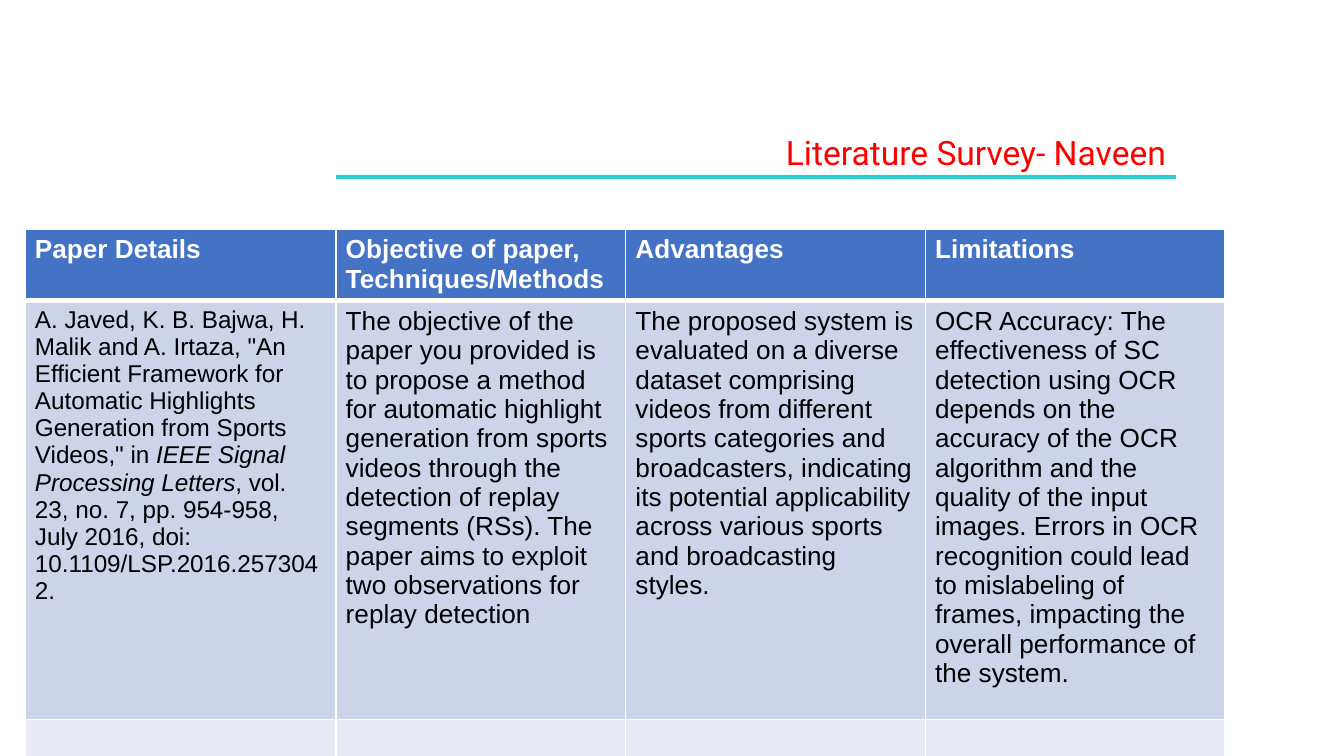
from lxml.etree import SubElement
from pptx import Presentation
from pptx.dml.color import RGBColor
from pptx.enum.shapes import MSO_SHAPE
from pptx.enum.text import MSO_ANCHOR, MSO_AUTO_SIZE, PP_ALIGN
from pptx.oxml.ns import qn
from pptx.util import Pt

PX = 9525
RED = RGBColor(0xFF, 0x00, 0x00)
TEAL = RGBColor(0x33, 0xCC, 0xCC)
BLUE = RGBColor(0x44, 0x72, 0xC4)
BAND = RGBColor(0xCD, 0xD4, 0xEA)
PALE = RGBColor(0xE8, 0xEB, 0xF5)
WHITE = RGBColor(0xFF, 0xFF, 0xFF)
BLACK = RGBColor(0x00, 0x00, 0x00)

MARGINS = [7, 4, 7, 4]
COLUMNS = [222, 207, 214, 214]
ROWS = [51, 299, 32]
FILLS = [BLUE, BAND, PALE]
HEADINGS = ["Paper Details", "Objective of paper, Techniques/Methods", "Advantages", "Limitations"]
CITATION = [
    ('A. Javed, K. B. Bajwa, H. Malik and A. Irtaza, "An Efficient Framework for Automatic '
     'Highlights Generation from Sports Videos," in ', False),
    ("IEEE Signal Processing Letters", True),
    (", vol. 23, no. 7, pp. 954-958, July 2016, doi: 10.1109/LSP.2016.2573042.", False),
]
FINDINGS = [
    "The objective of the paper you provided is to propose a method for automatic highlight "
    "generation from sports videos through the detection of replay segments (RSs). The paper "
    "aims to exploit two observations for replay detection",
    "The proposed system is evaluated on a diverse dataset comprising videos from different "
    "sports categories and broadcasters, indicating its potential applicability across various "
    "sports and broadcasting styles.",
    "OCR Accuracy: The effectiveness of SC detection using OCR depends on the accuracy of the "
    "OCR algorithm and the quality of the input images. Errors in OCR recognition could lead to "
    "mislabeling of frames, impacting the overall performance of the system.",
]


def px(*lengths):
    """Turn px lengths into EMU."""
    return [n * PX for n in lengths]


def set_margins(box):
    """Give a cell or text frame the shared margins."""
    box.margin_left, box.margin_top, box.margin_right, box.margin_bottom = px(*MARGINS)


def style(p, size, color, bold=False, name="Arial"):
    """Set the font of a whole paragraph."""
    f = p.font
    f.name, f.size, f.bold = name, Pt(size), bold
    f.color.rgb = color


def add_heading(s, x, y, w, h):
    """Place the right-aligned title and the rule beneath it."""
    rule = s.shapes.add_shape(MSO_SHAPE.RECTANGLE, *px(x, y + h - 1, w, 3))
    rule.shadow.inherit = False
    rule.fill.solid()
    rule.fill.fore_color.rgb = TEAL
    rule.line.fill.background()

    title = s.shapes.title
    title.left, title.top, title.width, title.height = px(x + 144, y, w - 144, h)
    tf = title.text_frame
    tf.text = "Literature Survey- Naveen"
    tf.auto_size = MSO_AUTO_SIZE.NONE
    tf.vertical_anchor = MSO_ANCHOR.TOP
    set_margins(tf)
    p = tf.paragraphs[0]
    p.alignment = PP_ALIGN.RIGHT
    style(p, 18, RED, name="Roboto")


def format_cell(cell, fill, bottom):
    """Give a cell its margins, white borders and fill."""
    set_margins(cell)
    tcPr = cell._tc.get_or_add_tcPr()
    for side, width in (("L", 1), ("R", 1), ("T", 1), ("B", bottom)):
        ln = SubElement(tcPr, qn(f"a:ln{side}"), w=str(Pt(width)))
        SubElement(SubElement(ln, qn("a:solidFill")), qn("a:srgbClr"), val=str(WHITE))
    cell.fill.solid()
    cell.fill.fore_color.rgb = fill


def add_survey(s, x, y):
    """Place the table of papers with its top left corner at x, y."""
    box = px(x, y, sum(COLUMNS), sum(ROWS))
    table = s.shapes.add_table(len(ROWS), len(COLUMNS), *box).table
    for column, w in zip(table.columns, px(*COLUMNS)):
        column.width = w
    for i, (row, h) in enumerate(zip(table.rows, px(*ROWS))):
        row.height = h
        for cell in row.cells:
            format_cell(cell, FILLS[i], 1 if i else 3)

    for c, heading in enumerate(HEADINGS):
        cell = table.cell(0, c)
        cell.text = heading
        style(cell.text_frame.paragraphs[0], 14, WHITE, bold=True)
    p = table.cell(1, 0).text_frame.paragraphs[0]
    style(p, 13, BLACK)
    for text, italic in CITATION:
        r = p.add_run()
        r.text, r.font.italic = text, italic
    for c, finding in enumerate(FINDINGS, 1):
        cell = table.cell(1, c)
        cell.text = finding
        style(cell.text_frame.paragraphs[0], 14, BLACK)


def main():
    """Build and save the slide."""
    prs = Presentation()
    prs.slide_width, prs.slide_height = px(960, 540)
    s = prs.slides.add_slide(prs.slide_layouts[5])
    add_heading(s, 240, 90, 600, 36)
    add_survey(s, 18, 164)
    prs.save("out.pptx")


if __name__ == "__main__":
    main()
